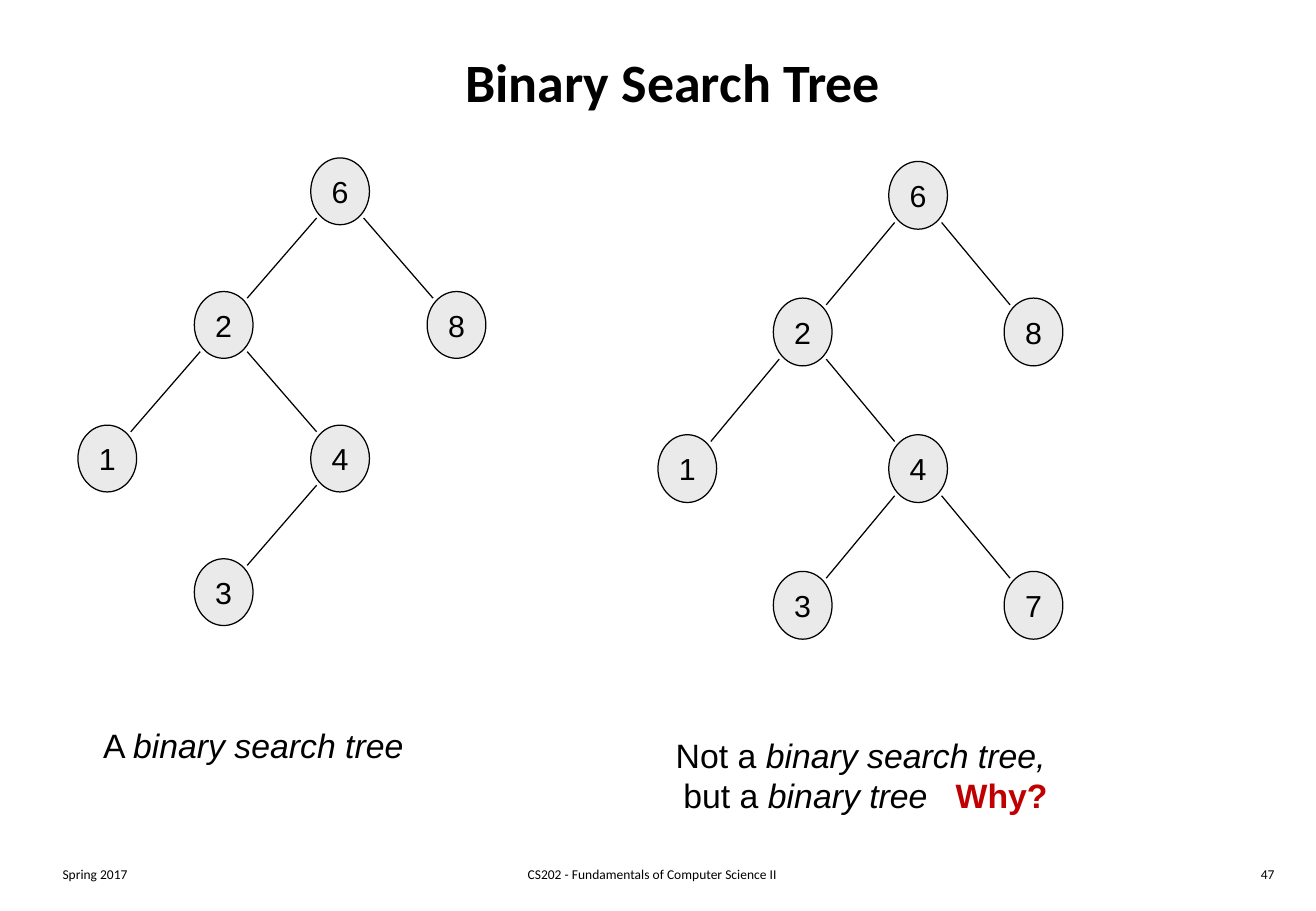
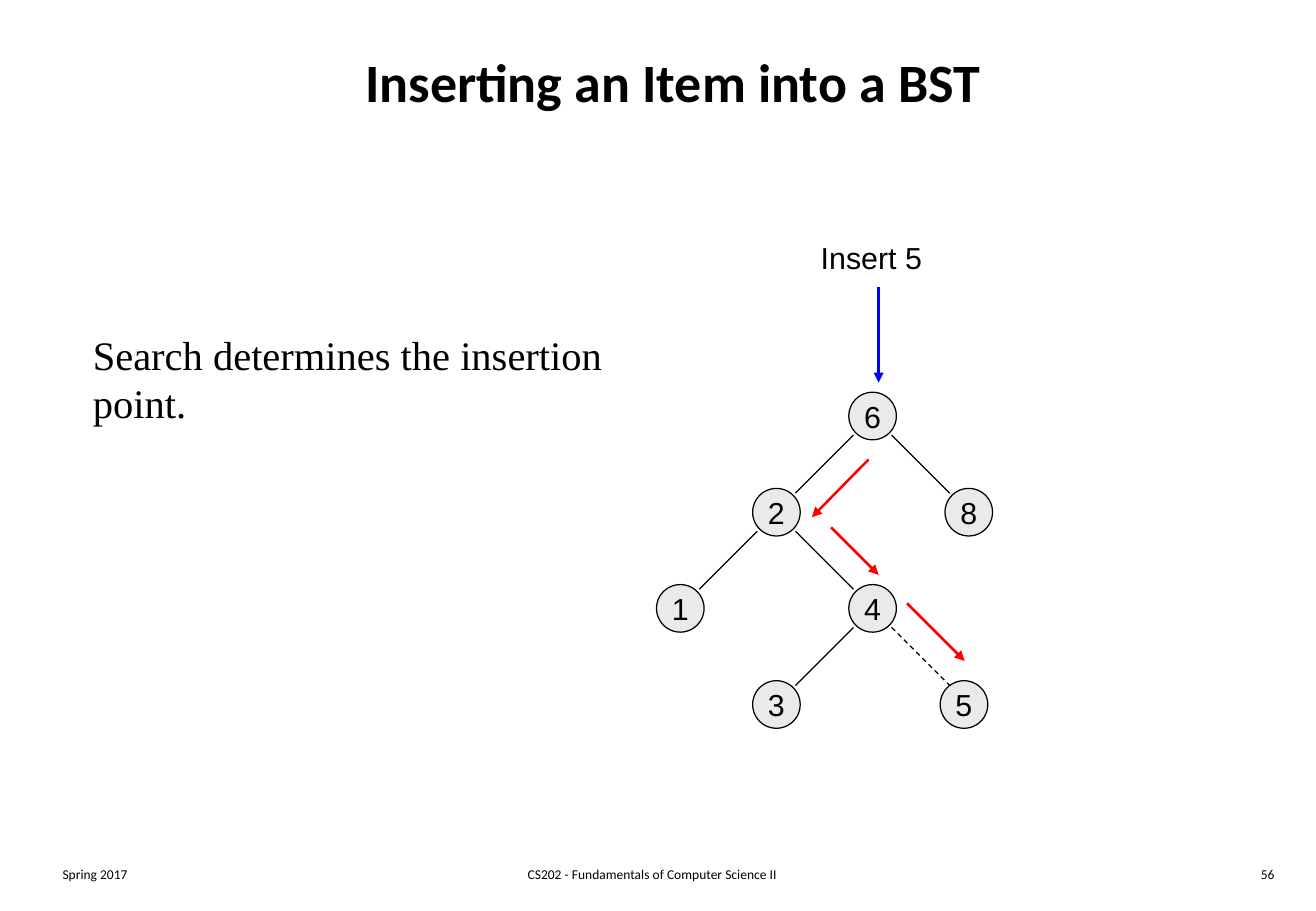
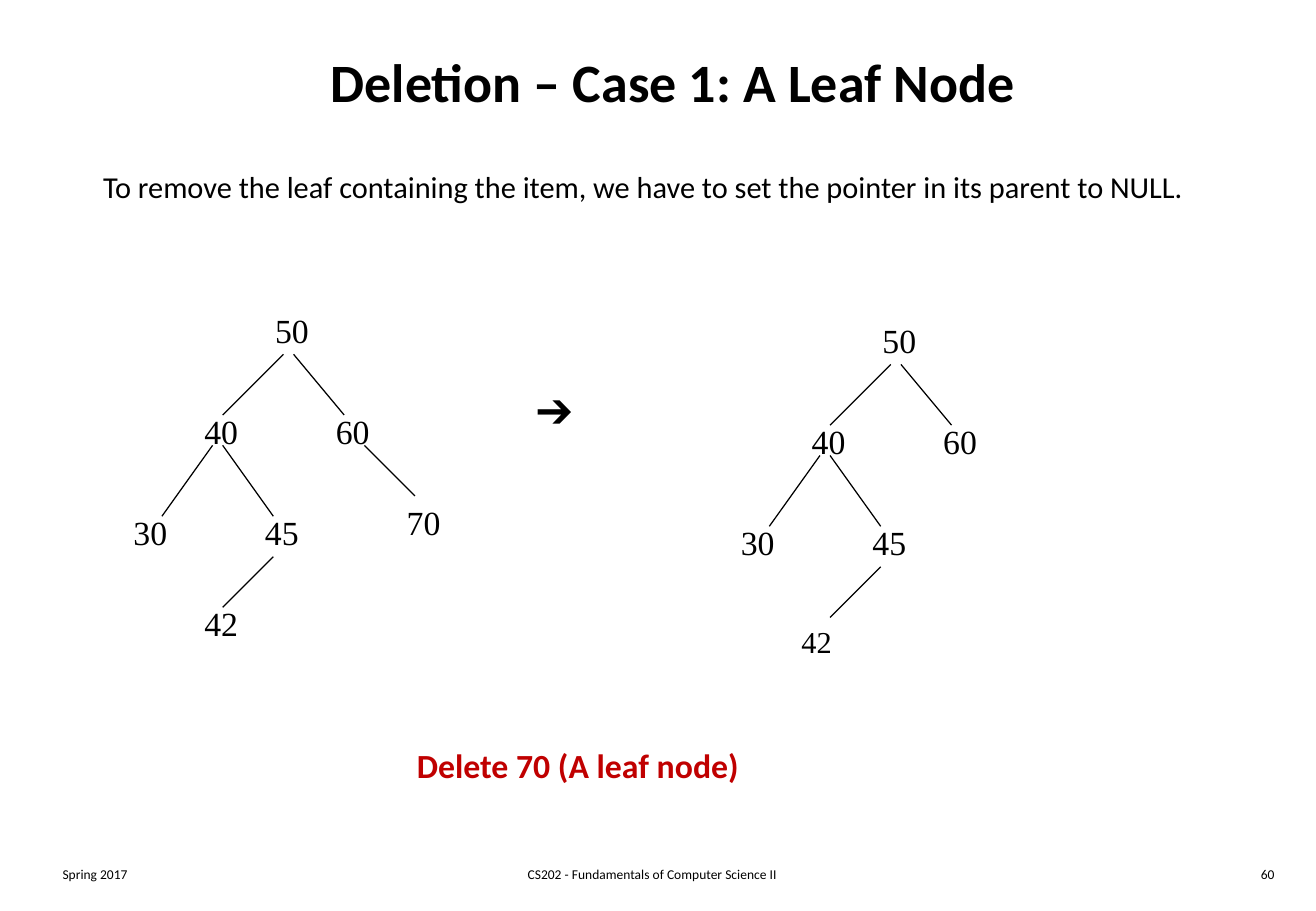
from dataclasses import dataclass

from lxml.etree import SubElement
from pptx import Presentation
from pptx.dml.color import RGBColor as Rgb
from pptx.enum.dml import MSO_LINE_DASH_STYLE as Dash
from pptx.enum.shapes import MSO_CONNECTOR as Connector, MSO_SHAPE as Preset
from pptx.enum.text import MSO_ANCHOR as Anchor, PP_ALIGN as Align
from pptx.oxml.ns import qn
from pptx.util import Emu, Pt

EMU_PER_PX = 7620
SLIDE_SIZE = (1300, 900)


@dataclass(frozen=True)
class Theme:
    ink: str = "000000"
    node: str = "EAEAEA"
    accent: str = "C00000"
    insert: str = "0000FF"
    search: str = "FF0000"
    title_font: str = "Calibri"
    tree_font: str = "Arial"
    body_font: str = "Times New Roman"
    title_size: int = 32
    lead_size: int = 24
    caption_size: int = 20
    node_size: int = 18
    footer_size: int = 8
    thin: float = 0.75
    thick: float = 1.5


THEME = Theme()

TITLE_BOX = (50, 20, 1230, 120)
TERM = "Spring 2017"
COURSE = "CS202 - Fundamentals of Computer Science II"
FOOTER_BOXES = [
    ((50, 850, 271, 30), Align.LEFT),
    ((401, 850, 487, 30), Align.CENTER),
    ((1000, 850, 271, 30), Align.RIGHT),
]

BASE_NODES = {"6": (0, 0), "2": (-1, 1), "8": (1, 1), "1": (-2, 2), "4": (0, 2), "3": (-1, 3)}
BASE_EDGES = ["62", "68", "21", "24", "43"]

SEARCH_TREE = dict(root=(336, 189), step=(115, 132), size=(58, 66),
                   nodes=BASE_NODES, edges=BASE_EDGES)
OTHER_TREE = dict(root=(907, 193), step=(114, 135), size=(58, 67),
                  nodes={**BASE_NODES, "7": (1, 3)}, edges=BASE_EDGES + ["47"])
INSERT_TREE = dict(root=(862, 411), step=(95, 95), size=(47, 47),
                   nodes={**BASE_NODES, "5": (0.95, 3)}, edges=BASE_EDGES + ["45"],
                   dashed=["45"])

SEARCH_CAPTION = [[("A ", {}), ("binary search tree", {"italic": True})]]
OTHER_CAPTION = [
    [("Not a ", {}), ("binary search tree, ", {"italic": True})],
    [("but a ", {}), ("binary tree", {"italic": True}), (" ", {"spacing": 11}),
     ("Why?", {"bold": True, "color": THEME.accent})],
]

INSERT_ARROW = ((868, 284), (868, 378))
SEARCH_ARROWS = [((858, 454), (802, 511)), ((821, 521), (868, 568)), ((896, 596), (953, 653))]

KEYS = {"50": (260, 300), "60": (320, 400), "40": (190, 400),
        "45": (250, 500), "30": (120, 500)}
LINKS = [
    ((280, 350), (220, 410)), ((290, 350), (340, 410)), ((220, 440), (270, 510)),
    ((210, 440), (160, 510)), ((270, 550), (220, 600)),
]
BEFORE_KEYS = {**KEYS, "70": (390, 490), "42": (190, 590)}
BEFORE_LINKS = LINKS + [((360, 440), (410, 490))]
AFTER_SHIFT = (600, 10)


def px(*lengths):
    return [Emu(round(length * EMU_PER_PX)) for length in lengths]


def put_text(holder, content, font=THEME.tree_font, size=THEME.node_size, color=THEME.ink,
             bold=False, italic=False, align=Align.LEFT, anchor=Anchor.TOP, wrap=True):
    frame = holder.text_frame
    frame.word_wrap = wrap
    frame.vertical_anchor = anchor
    lines = [[(content, {})]] if isinstance(content, str) else content
    for index, pieces in enumerate(lines):
        line = frame.add_paragraph() if index else frame.paragraphs[0]
        line.alignment = align
        for words, changes in pieces:
            run = line.add_run()
            run.text = words
            run.font.name = font
            run.font.size = Pt(size)
            run.font.bold = changes.get("bold", bold)
            run.font.italic = changes.get("italic", italic)
            run.font.color.rgb = Rgb.from_string(changes.get("color", color))
            if "spacing" in changes:
                run.font._element.set("spc", str(changes["spacing"] * 100))


def put_box(slide, box, content, **style):
    put_text(slide.shapes.add_textbox(*px(*box)), content, **style)


def put_line(slide, start, end, color=THEME.ink, width=THEME.thin, dashed=False, arrow=False):
    link = slide.shapes.add_connector(Connector.STRAIGHT, *px(*start, *end))
    link.line.color.rgb = Rgb.from_string(color)
    link.line.width = Pt(width)
    if dashed:
        link.line.dash_style = Dash.DASH
    if arrow:
        SubElement(link.line._get_or_add_ln(), qn("a:tailEnd"), type="triangle")
    SubElement(link._element.spPr, qn("a:effectLst"))


def put_tree(slide, root, step, size, nodes, edges, dashed=()):
    (x, y), (dx, dy), (width, height) = root, step, size
    for key, (column, row) in nodes.items():
        left, top = x + column * dx - width / 2, y + row * dy - height / 2
        node = slide.shapes.add_shape(Preset.OVAL, *px(left, top, width, height))
        node.shadow.inherit = False
        node.fill.solid()
        node.fill.fore_color.rgb = Rgb.from_string(THEME.node)
        node.line.color.rgb = Rgb.from_string(THEME.ink)
        node.line.width = Pt(THEME.thin)
        put_text(node, key, align=Align.CENTER, anchor=Anchor.MIDDLE, wrap=False)
    for edge in edges:
        parent, child = (nodes[key] for key in edge)
        side = 1 if child[0] > parent[0] else -1
        near, far = 0.4, 0.4
        px_x, px_y = x + parent[0] * dx, y + parent[1] * dy
        start = (px_x + side * near * width, px_y + near * height)
        end = (px_x + side * (dx - far * width), px_y + dy - far * height)
        put_line(slide, start, end, dashed=edge in dashed)


def put_key_tree(slide, keys, links, shift=(0, 0)):
    def moved(point):
        return point[0] + shift[0], point[1] + shift[1]

    for start, end in links:
        put_line(slide, moved(start), moved(end))
    for key, corner in keys.items():
        put_box(slide, (*moved(corner), 60, 52), key,
                font=THEME.body_font, size=THEME.caption_size)


def draw_trees(slide):
    put_tree(slide, **SEARCH_TREE)
    put_tree(slide, **OTHER_TREE)
    put_box(slide, (90, 710, 330, 52), SEARCH_CAPTION, size=THEME.caption_size)
    put_box(slide, (580, 720, 550, 94), OTHER_CAPTION, size=THEME.caption_size,
            align=Align.CENTER)


def draw_insertion(slide):
    put_tree(slide, **INSERT_TREE)
    put_line(slide, *INSERT_ARROW, color=THEME.insert, width=THEME.thick, arrow=True)
    put_box(slide, (799, 230, 130, 48), "Insert 5")
    for start, end in SEARCH_ARROWS:
        put_line(slide, start, end, color=THEME.search, width=THEME.thick, arrow=True)
    put_box(slide, (80, 320, 600, 100), [[("Search determines the insertion point.", {})]],
            font=THEME.body_font, size=THEME.lead_size)


def draw_deletion(slide):
    put_box(slide, (90, 160, 1110, 48),
            "To remove the leaf containing the item, "
            "we have to set the pointer in its parent to NULL.", font=THEME.title_font)
    put_box(slide, (400, 730, 350, 52), "Delete 70 (A leaf node)", font=THEME.title_font,
            size=THEME.caption_size, color=THEME.accent, bold=True)
    put_box(slide, (518, 375, 68, 60), "➔", font=THEME.body_font, size=THEME.lead_size)
    put_key_tree(slide, BEFORE_KEYS, BEFORE_LINKS)
    put_key_tree(slide, KEYS, LINKS, AFTER_SHIFT)
    put_box(slide, (780, 610, 60, 48), "42", font=THEME.body_font)


SLIDES = [
    ("Binary Search Tree", "47", draw_trees),
    ("Inserting an Item into a BST", "56", draw_insertion),
    ("Deletion – Case 1: A Leaf Node", "60", draw_deletion),
]


def main():
    deck = Presentation()
    deck.slide_width, deck.slide_height = px(*SLIDE_SIZE)
    for title, number, draw in SLIDES:
        slide = deck.slides.add_slide(deck.slide_layouts[6])
        for words, (box, align) in zip((TERM, COURSE, number), FOOTER_BOXES):
            put_box(slide, box, words, font=THEME.title_font, size=THEME.footer_size,
                    align=align)
        put_box(slide, TITLE_BOX, title, font=THEME.title_font, size=THEME.title_size,
                bold=True, align=Align.CENTER, anchor=Anchor.MIDDLE)
        draw(slide)
    deck.save("out.pptx")


if __name__ == "__main__":
    main()
